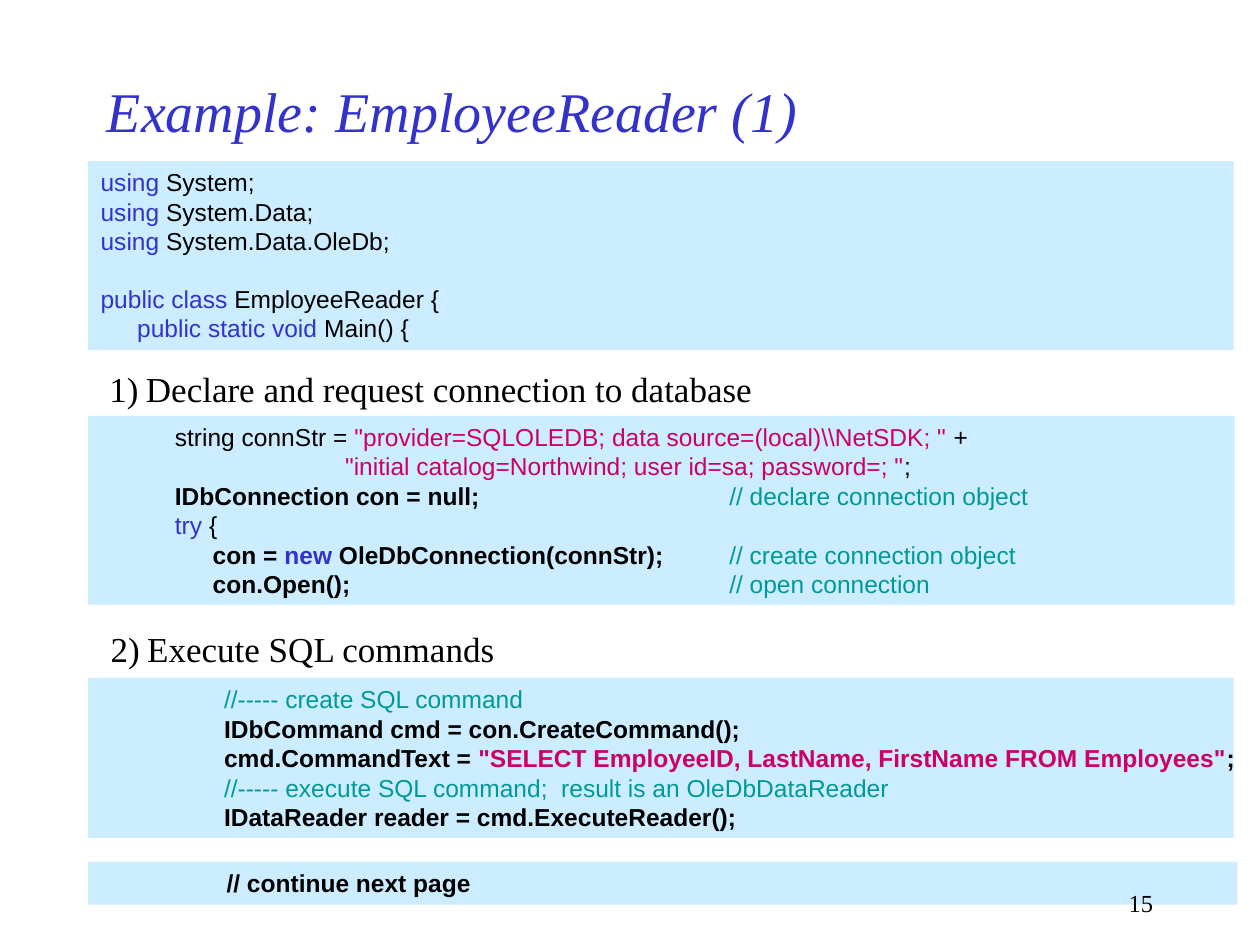
from dataclasses import dataclass
from typing import NamedTuple

from lxml.etree import SubElement
from pptx import Presentation
from pptx.dml.color import RGBColor as Rgb
from pptx.enum.shapes import MSO_SHAPE as Kind
from pptx.enum.text import MSO_ANCHOR as Anchor, PP_ALIGN as Align
from pptx.oxml.ns import qn
from pptx.util import Pt

SCALE = 9144


@dataclass(frozen=True)
class Theme:
    panel: str = "CCECFF"
    ink: str = "000000"
    key: str = "3333CC"
    quote: str = "CC0066"
    note: str = "009999"
    serif: str = "Times New Roman"
    sans: str = "Arial"
    title: int = 32
    head: int = 20
    code: int = 14
    gap: int = 16


THEME = Theme()


class Run(NamedTuple):
    text: str
    color: str = THEME.ink
    bold: bool = False


class Line(NamedTuple):
    runs: list[Run]
    gap: int = 0


@dataclass(frozen=True)
class Box:
    left: int
    top: int
    width: int
    height: int
    lines: list[Line]
    tabs: tuple[int, ...] = ()
    font: str = THEME.sans
    size: int = THEME.code
    panel: bool = True
    italic: bool = False
    wrap: bool = True
    hang: int = 0
    anchor: Anchor = Anchor.TOP
    align: Align = Align.LEFT


def px(count: int) -> int:
    return count * SCALE


def key(text: str, bold: bool = False) -> Run:
    return Run(text, THEME.key, bold)


def quote(text: str, bold: bool = False) -> Run:
    return Run(text, THEME.quote, bold)


def note(text: str) -> Run:
    return Run(text, THEME.note)


def strong(text: str) -> Run:
    return Run(text, bold=True)


def line(*runs: Run, gap: int = 0) -> Line:
    return Line(list(runs), gap)


def head(left: int, top: int, width: int, text: str) -> Box:
    return Box(left, top, width, 44, [line(Run(text))], font=THEME.serif,
               size=THEME.head, panel=False, hang=29)


def set_tabs(para, box: Box) -> None:
    props = para._p.get_or_add_pPr()
    if box.hang:
        props.set("marL", str(px(box.hang)))
        props.set("indent", str(-px(box.hang)))
    if box.tabs:
        stops = SubElement(props, qn("a:tabLst"))
        for stop in box.tabs:
            SubElement(stops, qn("a:tab"), pos=str(px(stop)), algn="l")


def draw_line(para, item: Line, box: Box) -> None:
    set_tabs(para, box)
    para.alignment = box.align
    if item.gap:
        para.space_before = Pt(item.gap)
    for part in item.runs:
        run = para.add_run()
        run.text = part.text
        font = run.font
        font.name, font.size = box.font, Pt(box.size)
        font.bold, font.italic = part.bold, box.italic
        font.color.rgb = Rgb.from_string(part.color)


def draw_box(slide, box: Box) -> None:
    area = [px(n) for n in (box.left, box.top, box.width, box.height)]
    if box.panel:
        shape = slide.shapes.add_shape(Kind.RECTANGLE, *area)
        shape.shadow.inherit = False
        shape.fill.solid()
        shape.fill.fore_color.rgb = Rgb.from_string(THEME.panel)
        shape.line.fill.background()
    else:
        shape = slide.shapes.add_textbox(*area)
    frame = shape.text_frame
    frame.word_wrap = box.wrap
    frame.vertical_anchor = box.anchor
    for rank, item in enumerate(box.lines):
        para = frame.add_paragraph() if rank else frame.paragraphs[0]
        draw_line(para, item, box)


START = [
    line(key("using"), Run(" System;")),
    line(key("using"), Run(" System.Data;")),
    line(key("using"), Run(" System.Data.OleDb;")),
    line(key("public class"), Run(" EmployeeReader {"), gap=THEME.gap),
    line(Run("\t"), key("public static void"), Run(" Main() {")),
]
CONNECT = [
    line(Run("\t\tstring connStr = "),
         quote('"provider=SQLOLEDB; data source=(local)\\\\NetSDK; "'), Run(" +")),
    line(Run("\t\t\t\t\t     "),
         quote('"initial catalog=Northwind; user id=sa; password=; "'), Run(";")),
    line(Run("\t\t"), strong("IDbConnection con = null; \t\t"),
         note("// declare connection object")),
    line(Run("\t\t"), key("try "), Run("{")),
    line(Run("\t\t\t"), strong("con = "), key("new", True),
         strong(" OleDbConnection(connStr); \t"),
         note("// create connection object")),
    line(strong("\t\t\tcon.Open(); \t\t\t\t\t"), note("// open connection")),
]
QUERY = [line(Run("\t\t\t"), *runs) for runs in (
    [note("//----- create SQL command")],
    [strong("IDbCommand cmd = con.CreateCommand();")],
    [strong("cmd.CommandText = "),
     quote('"SELECT EmployeeID, LastName, FirstName FROM Employees"', True),
     strong(";")],
    [note("//----- execute SQL command;  result is an OleDbDataReader")],
    [strong("IDataReader reader = cmd.ExecuteReader();")],
)]
NEXT = [line(strong("\t\t\t// continue next page"))]

BOXES = [
    Box(75, 50, 750, 75, [line(key("Example: EmployeeReader (1)"))],
        font=THEME.serif, size=THEME.title, panel=False, italic=True,
        anchor=Anchor.MIDDLE),
    Box(70, 128, 909, 150, START, (29,)),
    Box(70, 684, 912, 34, NEXT, (42, 89, 100)),
    Box(70, 330, 910, 150, CONNECT,
        (29, 59, 89, 127, 167, 206, 244, 284, 400, 499)),
    head(77, 287, 760, "1)\tDeclare and request connection to database"),
    Box(70, 538, 909, 127, QUERY, (29, 59, 98), wrap=False,
        anchor=Anchor.MIDDLE),
    head(78, 493, 756, "2)\tExecute SQL commands"),
    Box(717, 700, 208, 33, [line(Run("15"))], font=THEME.serif, panel=False,
        align=Align.RIGHT),
]


def main() -> None:
    deck = Presentation()
    deck.slide_width, deck.slide_height = px(1000), px(750)
    slide = deck.slides.add_slide(deck.slide_layouts[6])
    for box in BOXES:
        draw_box(slide, box)
    deck.save("out.pptx")


if __name__ == "__main__":
    main()
